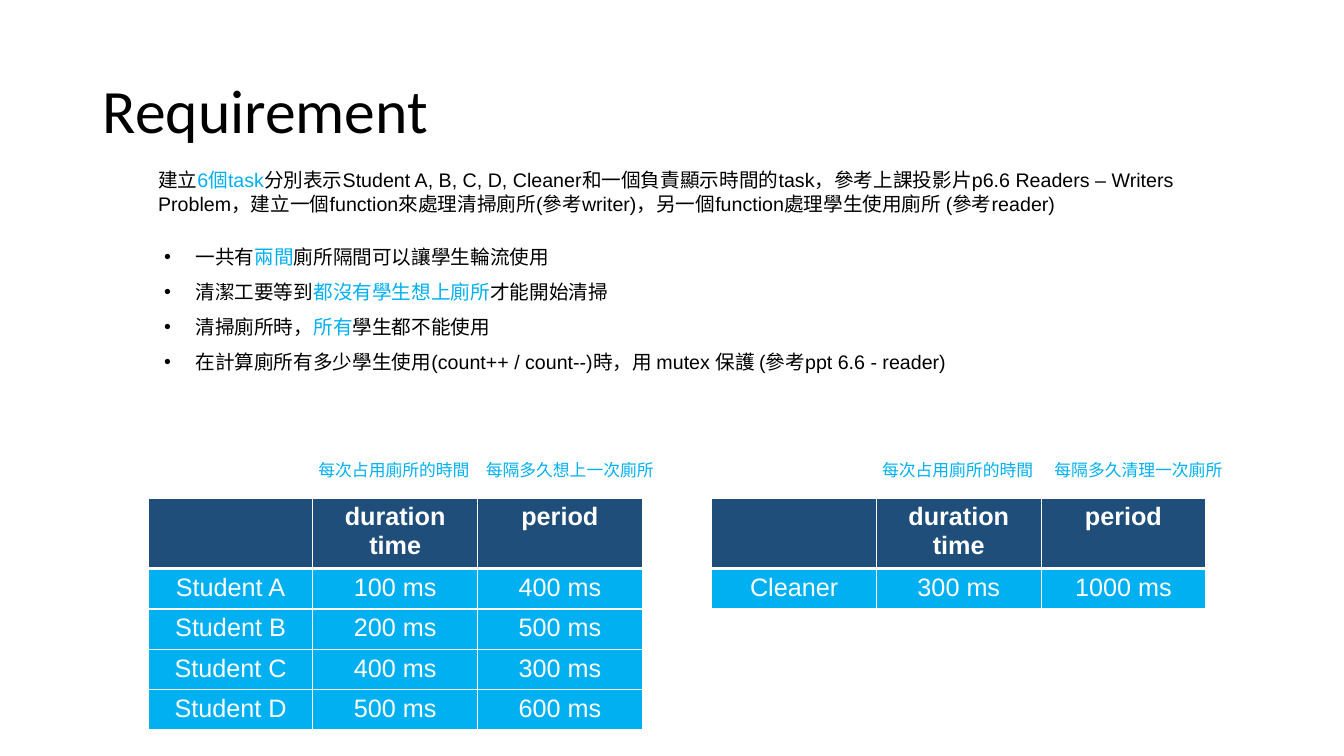
from dataclasses import dataclass

from lxml import etree
from pptx import Presentation
from pptx.dml.color import RGBColor
from pptx.enum import text
from pptx.oxml import ns
from pptx.util import Inches, Pt


@dataclass(frozen=True)
class Theme:
    """Colours, fonts and type sizes of the slide."""
    black: str = "000000"
    white: str = "FFFFFF"
    navy: str = "1E4E79"
    sky: str = "00B0F0"
    title_font: str = "Calibri"
    body_font: str = "Arial"
    title_size: int = 44
    table_size: int = 18
    body_size: int = 14
    caption_size: int = 12


@dataclass(frozen=True)
class Span:
    """A piece of text, highlighted or plain."""
    words: str
    highlight: bool = False


@dataclass(frozen=True)
class TextBlock:
    """A text box with paragraphs of spans."""
    left: float
    top: float
    width: float
    height: float
    paragraphs: list[list[Span]]
    size: int
    font: str
    color: str
    spacing: float = 1.0
    bullets: bool = False
    wrap: bool = True
    anchor: text.MSO_ANCHOR = text.MSO_ANCHOR.TOP


@dataclass(frozen=True)
class TimingTable:
    """A timing table with its two column captions."""
    left: float
    height: float
    rows: list[tuple[str, str, str]]
    captions: list[tuple[float, float, str]]


THEME = Theme()
TABLE_TOP, TABLE_WIDTH, CAPTION_TOP = 4.94, 4.9, 4.51
HEADER_HEIGHT, ROW_HEIGHT = 0.44, 0.38
BULLET_INDENT = 0.31
HEADER = ("", "duration time", "period")

TITLE = TextBlock(0.92, 0.4, 11.5, 1.45, [[Span("Requirement")]], THEME.title_size,
                  THEME.title_font, THEME.black, spacing=0.9, anchor=text.MSO_ANCHOR.MIDDLE)
INTRO = TextBlock(1.47, 1.62, 10.66, 0.57, [[
    Span("建立"), Span("6個task", True),
    Span("分別表示Student A, B, C, D, Cleaner和一個負責顯示時間的task，參考上課投影片p6.6 "
         "Readers – Writers Problem，建立一個function來處理清掃廁所(參考writer)，"
         "另一個function處理學生使用廁所 (參考reader)"),
]], THEME.body_size, THEME.body_font, THEME.black)
RULES = TextBlock(1.53, 2.26, 8.32, 1.51, [
    [Span("一共有"), Span("兩間", True), Span("廁所隔間可以讓學生輪流使用")],
    [Span("清潔工要等到"), Span("都沒有學生想上廁所", True), Span("才能開始清掃")],
    [Span("清掃廁所時，"), Span("所有", True), Span("學生都不能使用")],
    [Span("在計算廁所有多少學生使用(count++ / count--)時，用 mutex 保護 (參考ppt 6.6 - reader)")],
], THEME.body_size, THEME.body_font, THEME.black, spacing=1.5, bullets=True)

TABLES = [
    TimingTable(1.47, 2.04, [
        ("Student A", "100 ms", "400 ms"),
        ("Student B", "200 ms", "500 ms"),
        ("Student C", "400 ms", "300 ms"),
        ("Student D", "500 ms", "600 ms"),
    ], [(3.06, 1.72, "每次占用廁所的時間"), (4.72, 1.88, "每隔多久想上一次廁所")]),
    TimingTable(7.06, 0.84, [("Cleaner", "300 ms", "1000 ms")],
                [(8.65, 1.72, "每次占用廁所的時間"), (10.36, 1.88, "每隔多久清理一次廁所")]),
]


def set_font(font, name: str, size: int, color: str, bold: bool = False) -> None:
    """Apply face, size, colour and weight to a font."""
    font.name, font.size, font.bold = name, Pt(size), bold
    font.color.rgb = RGBColor.from_string(color)


def add_bullet(para) -> None:
    """Give a paragraph a hanging round bullet."""
    props = para._p.get_or_add_pPr()
    props.set("marL", str(Inches(BULLET_INDENT)))
    props.set("indent", str(-Inches(BULLET_INDENT)))
    bullet = etree.Element(ns.qn("a:buChar"), char="•")
    face = etree.Element(ns.qn("a:buFont"), typeface=THEME.body_font)
    position = 1 if para.line_spacing else 0
    props.insert(position, face)
    props.insert(position + 1, bullet)


def add_text(page, block: TextBlock) -> None:
    """Draw a text block."""
    box = page.shapes.add_textbox(*map(Inches, (block.left, block.top, block.width, block.height)))
    frame = box.text_frame
    frame.word_wrap = block.wrap
    frame.vertical_anchor = block.anchor
    for index, spans in enumerate(block.paragraphs):
        para = frame.add_paragraph() if index else frame.paragraphs[0]
        para.line_spacing = block.spacing
        set_font(para.font, block.font, block.size, block.color)
        if block.bullets:
            add_bullet(para)
        for span in spans:
            run = para.add_run()
            run.text = span.words
            if span.highlight:
                run.font.color.rgb = RGBColor.from_string(THEME.sky)


def add_borders(cell, top: int, bottom: int) -> None:
    """Draw white cell borders with the given top and bottom weights."""
    props = cell._tc.get_or_add_tcPr()
    for side, weight in {"L": 1, "R": 1, "T": top, "B": bottom}.items():
        line = etree.SubElement(props, ns.qn(f"a:ln{side}"), w=str(Pt(weight)))
        fill = etree.SubElement(line, ns.qn("a:solidFill"))
        etree.SubElement(fill, ns.qn("a:srgbClr"), val=THEME.white)


def add_timing_table(page, timing: TimingTable) -> None:
    """Draw a timing table and its captions."""
    rows = [HEADER, *timing.rows]
    frame = page.shapes.add_table(len(rows), len(HEADER), Inches(timing.left), Inches(TABLE_TOP),
                                  Inches(TABLE_WIDTH), Inches(timing.height))
    table = frame.table
    for row_index, values in enumerate(rows):
        is_header = row_index == 0
        table.rows[row_index].height = Inches(HEADER_HEIGHT if is_header else ROW_HEIGHT)
        for column_index, value in enumerate(values):
            cell = table.cell(row_index, column_index)
            add_borders(cell, 3 if row_index == 1 else 1, 3 if is_header else 1)
            cell.fill.solid()
            cell.fill.fore_color.rgb = RGBColor.from_string(THEME.navy if is_header else THEME.sky)
            cell.text = value
            para = cell.text_frame.paragraphs[0]
            para.alignment = text.PP_ALIGN.CENTER
            set_font(para.font, THEME.body_font, THEME.table_size, THEME.white, is_header)
    frame.height = Inches(timing.height)
    for left, width, words in timing.captions:
        add_text(page, TextBlock(left, CAPTION_TOP, width, 0.3, [[Span(words)]],
                                 THEME.caption_size, THEME.body_font, THEME.sky, wrap=False))


def main() -> None:
    """Build and save the slide."""
    deck = Presentation()
    deck.slide_width, deck.slide_height = Inches(13.33), Inches(7.5)
    page = deck.slides.add_slide(deck.slide_layouts[6])
    for block in (TITLE, INTRO, RULES):
        add_text(page, block)
    for timing in TABLES:
        add_timing_table(page, timing)
    deck.save("out.pptx")


if __name__ == "__main__":
    main()
